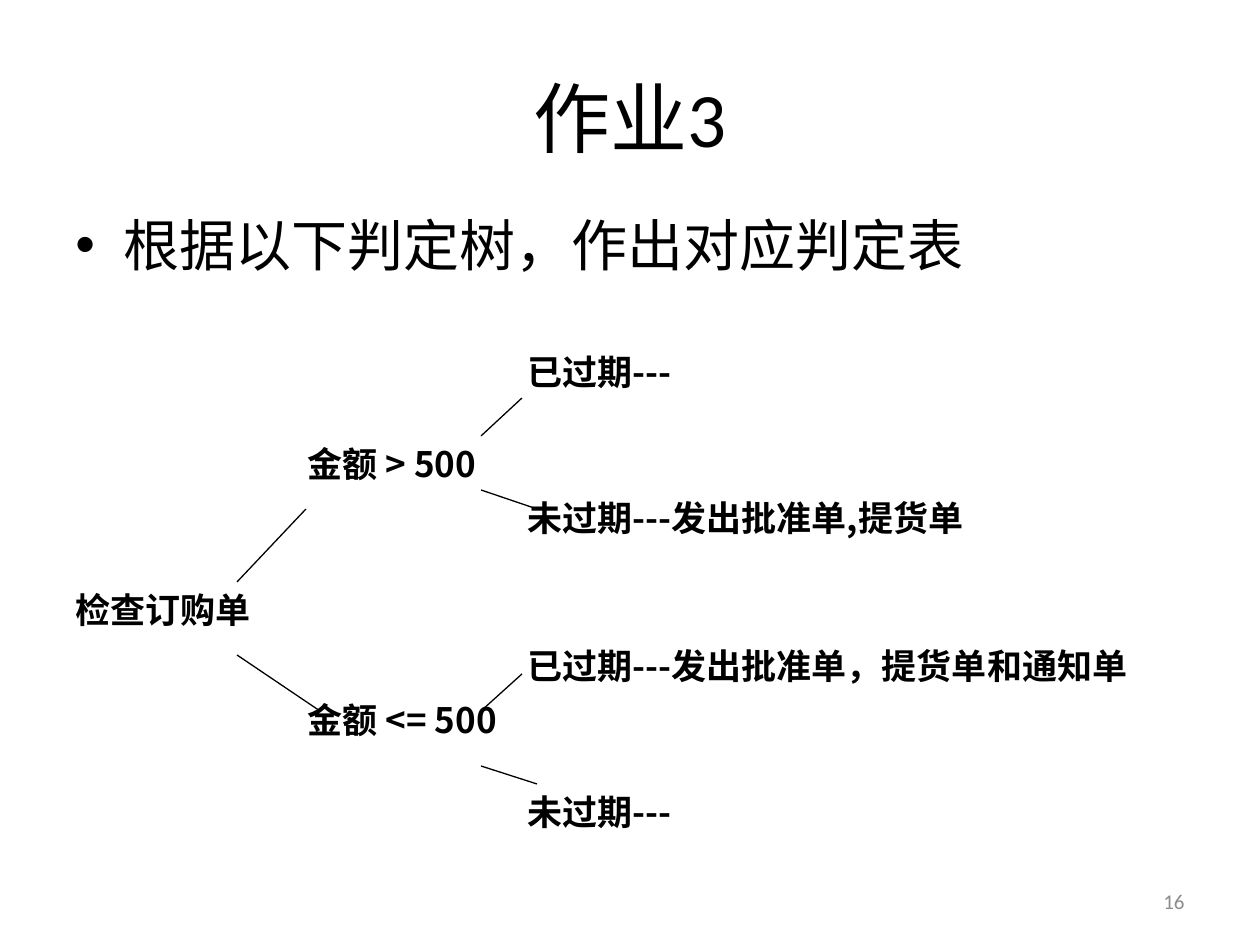
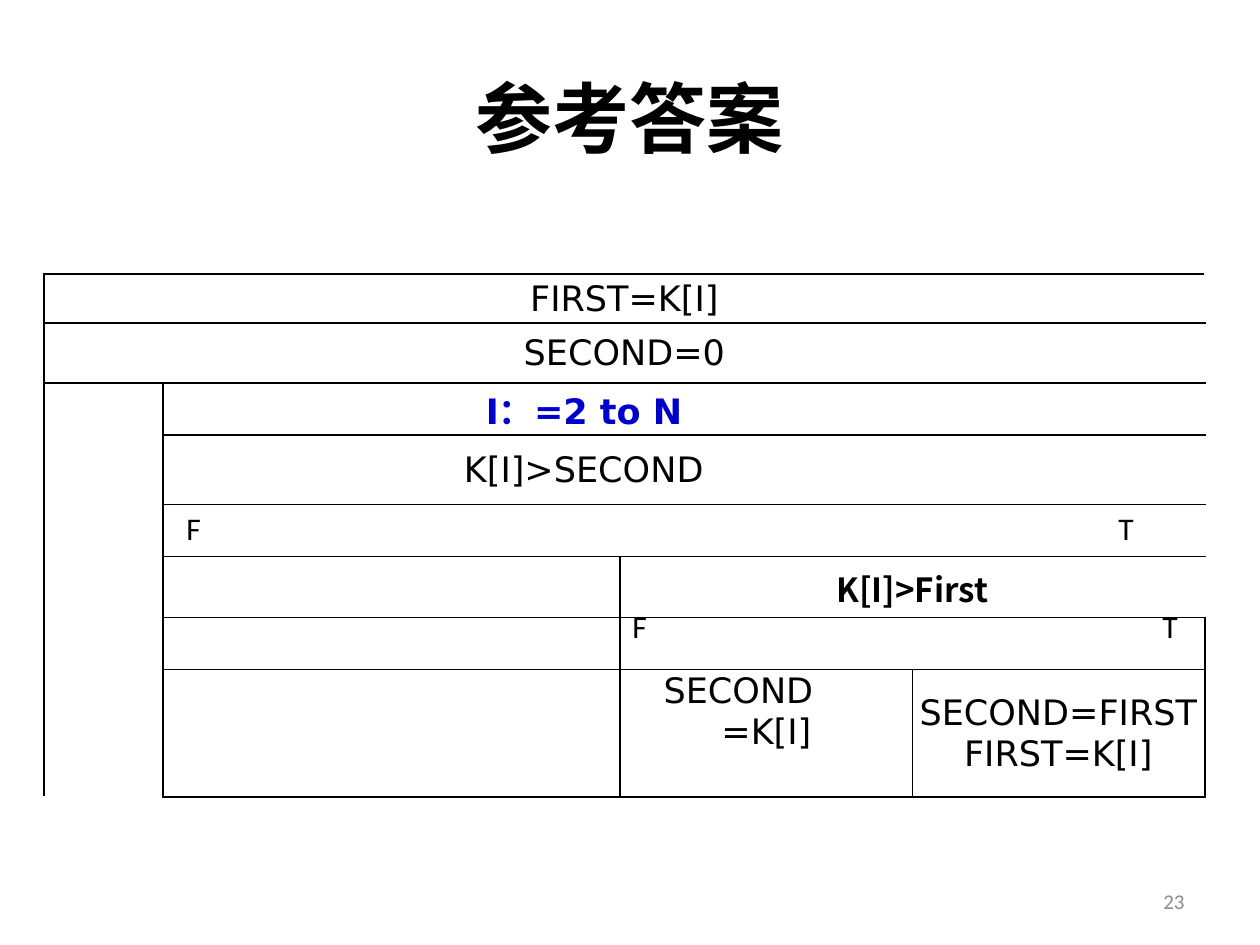
"""Build two homework slides: a decision tree and its structured-flow answer."""
from lxml import etree
from pptx import Presentation
from pptx import util as u
from pptx.dml.color import RGBColor
from pptx.enum import shapes, text
from pptx.oxml import ns

PX = 914400 / 126
BLACK, GREY, BLUE = "000000", "8C8C8C", "0000CC"
BODY, CODE, CJK = "Calibri", "DejaVu Sans", "Noto Sans CJK SC"
LEFT, CENTER, RIGHT = text.PP_ALIGN.LEFT, text.PP_ALIGN.CENTER, text.PP_ALIGN.RIGHT
TOP, MIDDLE = text.MSO_ANCHOR.TOP, text.MSO_ANCHOR.MIDDLE

TREE_TITLE, TREE_NUMBER = "作业3", "16"
TASK = "根据以下判定树，作出对应判定表"
TREE_LEVELS = [
    (63, 234, [(582, "检查订购单")]),
    (295, 234, [(436, "金额 > 500"), (692, "金额 <= 500")]),
    (515, 690, [(344, "已过期---"), (490, "未过期---发出批准单,提货单"),
                (638, "已过期---发出批准单，提货单和通知单"), (784, "未过期---")]),
]
BRANCHES = [
    (237, 582, 306, 509), (237, 655, 320, 711),
    (481, 436, 522, 398), (481, 490, 537, 509),
    (481, 711, 522, 674), (481, 766, 537, 784),
]

ANSWER_TITLE, ANSWER_NUMBER = "参考答案", "23"
COLUMNS = [119, 457, 292, 293]
ROWS = [49, 60, 52, 70, 52, 61, 52, 127]
COLUMN_LINES = [1, 1, 1, 0.5, 1]
ROW_LINES = [1, 1.5, 1, 1, 0.5, 0.5, 0.5, 0.5, 1]
OPEN_SIDES = {(4, 2), (6, 3)}
SPANS = {(0, 0): (1, 4), (1, 0): (1, 4), (2, 0): (6, 1), (2, 1): (1, 3),
         (3, 1): (1, 3), (4, 2): (1, 2), (5, 2): (1, 2)}
STEPS = {
    (0, 0): dict(words="FIRST=K[I]"),
    (1, 0): dict(words="SECOND=0"),
    (2, 1): dict(words="I：=2 to N", color=BLUE, bold=True, align=LEFT, left=323),
    (3, 1): dict(words="K[I]>SECOND", align=LEFT, left=301),
    (5, 2): dict(words="K[I]>First", size=19, font=CJK, bold=True),
    (7, 2): dict(words="SECOND\n=K[I]", anchor=TOP, right=56, hang=56),
    (7, 3): dict(words="SECOND=FIRST\nFIRST=K[I]"),
}
OUTCOMES = [(1106, 503, "T"), (174, 503, "F"), (1150, 601, "T"), (620, 601, "F")]


def px(length):
    return u.Emu(round(length * PX))


def rgb(color):
    return RGBColor.from_string(color)


def add_xml(parent, tag, **attributes):
    return etree.SubElement(parent, ns.qn(tag), attributes)


def format_text(frame, size, font=BODY, color=BLACK, bold=False, align=LEFT):
    for para in frame.paragraphs:
        para.alignment = align
        for span in para.runs:
            span.font.size = u.Pt(size)
            span.font.name = font
            span.font.bold = bold
            span.font.color.rgb = rgb(color)
            add_xml(span.font._element, "a:ea", typeface=CJK)


def add_text(page, at, words, size, anchor=TOP, **style):
    box = page.shapes.add_textbox(*map(px, at))
    frame = box.text_frame
    frame.word_wrap = True
    frame.vertical_anchor = anchor
    frame.text = words
    format_text(frame, size, **style)
    return frame


def add_page(deck, title, number, bold=False):
    page = deck.slides.add_slide(deck.slide_layouts[6])
    add_text(page, (63, 38, 1134, 158), title, 44, MIDDLE, bold=bold, align=CENTER)
    add_text(page, (903, 876, 294, 50), number, 12, MIDDLE, color=GREY, align=RIGHT)
    return page


def add_task(page):
    frame = add_text(page, (63, 204, 1134, 644), TASK, 32)
    props = frame.paragraphs[0]._p.get_or_add_pPr()
    props.set("marL", str(px(48)))
    props.set("indent", str(px(-48)))
    add_xml(props, "a:buFont", typeface="Arial")
    add_xml(props, "a:buChar", char="•")


def add_tree(page):
    for left, width, nodes in TREE_LEVELS:
        for top, words in nodes:
            add_text(page, (left, top, width, 60), words, 20, font=CJK, bold=True)
    for ends in BRANCHES:
        branch = page.shapes.add_connector(shapes.MSO_CONNECTOR.STRAIGHT, *map(px, ends))
        branch.line.color.rgb = rgb(BLACK)
        branch.line.width = u.Pt(0.75)
        add_xml(branch._element.spPr, "a:effectLst")


def add_border(cell, side, width):
    line = add_xml(cell._tc.get_or_add_tcPr(), f"a:ln{side}", w=str(u.Pt(width)))
    if width:
        add_xml(add_xml(line, "a:solidFill"), "a:srgbClr", val=BLACK)
    else:
        add_xml(line, "a:noFill")


def outline(table, row, column):
    height, width = SPANS.get((row, column), (1, 1))
    bottom, right = row + height, column + width
    for r in range(row, bottom):
        for c in range(column, right):
            cell = table.cell(r, c)
            if c == column:
                add_border(cell, "L", 0 if (r, c) in OPEN_SIDES else COLUMN_LINES[c])
            if c + 1 == right:
                add_border(cell, "R", 0 if (r, right) in OPEN_SIDES else COLUMN_LINES[right])
            if r == row:
                add_border(cell, "T", ROW_LINES[r])
            if r + 1 == bottom:
                add_border(cell, "B", ROW_LINES[bottom])
            cell.fill.background()


def fill_step(cell, words, size=20, font=CODE, color=BLACK, bold=False,
              align=CENTER, anchor=MIDDLE, left=1, right=1, hang=0):
    cell.text_frame.text = words
    format_text(cell.text_frame, size, font, color, bold, align)
    cell.vertical_anchor = anchor
    cell.margin_left, cell.margin_right = px(left), px(right)
    if hang:
        cell.text_frame.paragraphs[-1]._p.get_or_add_pPr().set("marL", str(px(hang)))


def add_flow(page):
    frame = page.shapes.add_table(len(ROWS), len(COLUMNS), px(44), px(274),
                                  px(sum(COLUMNS)), px(sum(ROWS)))
    table = frame.table
    table.first_row = table.horz_banding = False
    for column, width in zip(table.columns, COLUMNS):
        column.width = px(width)
    for row, height in zip(table.rows, ROWS):
        row.height = px(height)
    for (r, c), (height, width) in SPANS.items():
        table.cell(r, c).merge(table.cell(r + height - 1, c + width - 1))
    for r in range(len(ROWS)):
        for c in range(len(COLUMNS)):
            cell = table.cell(r, c)
            cell.margin_top, cell.margin_bottom = px(1), px(0)
            if not cell.is_spanned:
                outline(table, r, c)
    for place, step in STEPS.items():
        fill_step(table.cell(*place), **step)


def main():
    deck = Presentation()
    deck.slide_width, deck.slide_height = px(1260), px(945)
    tree_page = add_page(deck, TREE_TITLE, TREE_NUMBER)
    add_tree(tree_page)
    add_task(tree_page)
    answer_page = add_page(deck, ANSWER_TITLE, ANSWER_NUMBER, bold=True)
    add_flow(answer_page)
    for left, top, words in OUTCOMES:
        add_text(answer_page, (left, top, 89, 50), words, 18)
    deck.save("out.pptx")


if __name__ == "__main__":
    main()
